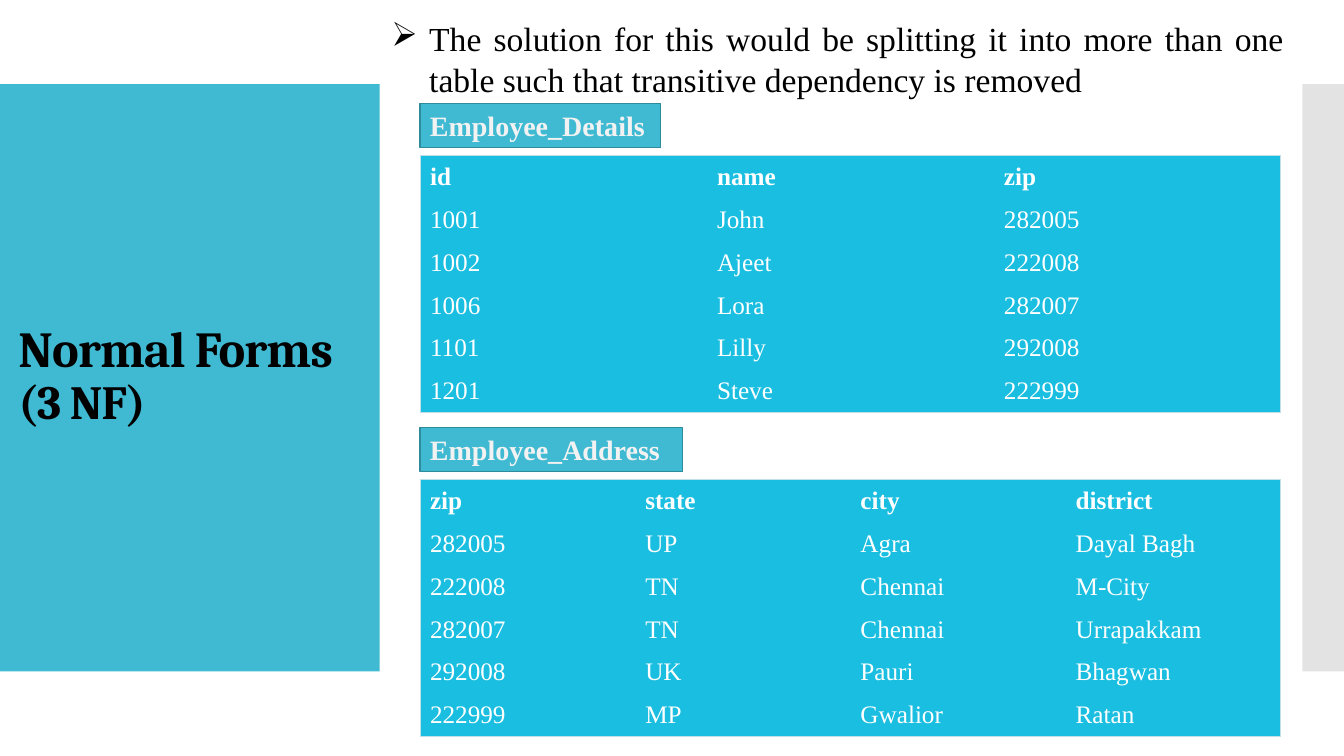
from dataclasses import dataclass

import pptx
import pptx.dml.color
import pptx.enum.shapes
import pptx.enum.text
import pptx.oxml
import pptx.oxml.ns
import pptx.util

Pt = pptx.util.Pt
PP_ALIGN = pptx.enum.text.PP_ALIGN
ANCHOR = pptx.enum.text.MSO_ANCHOR
AUTO_SIZE = pptx.enum.text.MSO_AUTO_SIZE
qn = pptx.oxml.ns.qn
NAMESPACE = pptx.oxml.ns.nsdecls("a")
NO_STYLE = "{2D5ABB26-0587-4C30-8999-92F81FD0307C}"


@dataclass(frozen=True)
class Theme:
    panel: str = "40BAD2"
    panel_edge: str = "2F8A9B"
    strip: str = "C8C8C8"
    table: str = "1ABEE0"
    table_edge: str = "C0E0EA"
    ink: str = "000000"
    label_ink: str = "F2F2F2"
    table_ink: str = "FFFFFF"
    heading_font: str = "Cambria"
    body_font: str = "Times New Roman"
    title_sizes: tuple = (36, 34)
    body_size: float = 24
    label_size: float = 20
    cell_size: float = 18


def rgb(value):
    return pptx.dml.color.RGBColor.from_string(value)


class SlideBuilder:
    def __init__(self, page, theme):
        self.page = page
        self.theme = theme

    def style(self, span, size, colour, bold=False, name=None):
        span.font.size = Pt(size)
        span.font.name = name or self.theme.body_font
        span.font.bold = bold
        span.font.color.rgb = rgb(colour)

    def rectangle(self, left, top, width, height, colour):
        box = self.page.shapes.add_shape(
            pptx.enum.shapes.MSO_SHAPE.RECTANGLE,
            Pt(left), Pt(top), Pt(width), Pt(height))
        box.shadow.inherit = False
        box.fill.solid()
        box.fill.fore_color.rgb = rgb(colour)
        return box

    def panel(self, left, top, width, height, colour, opacity=100):
        """Add a borderless background block behind the title."""
        box = self.rectangle(left, top, width, height, colour)
        box.line.fill.background()
        if opacity < 100:
            colour_node = box.element.spPr.find(qn("a:solidFill"))[0]
            colour_node.append(pptx.oxml.parse_xml(
                f'<a:alpha {NAMESPACE} val="{opacity * 1000}"/>'))
        self.page.shapes.title.element.addprevious(box.element)

    def title(self, left, top, width, height, lines):
        box = self.page.shapes.title
        box.left, box.top, box.width, box.height = map(Pt, (left, top, width, height))
        frame = box.text_frame
        frame.text = "\v".join(lines)
        frame.word_wrap = True
        frame.auto_size = AUTO_SIZE.NONE
        frame.vertical_anchor = ANCHOR.MIDDLE
        para = frame.paragraphs[0]
        para.alignment = PP_ALIGN.LEFT
        para.line_spacing = 0.9
        for span, size in zip(para.runs, self.theme.title_sizes):
            self.style(span, size, self.theme.ink, True, self.theme.heading_font)
            span.font.language_id = None
            span.font._element.set("spc", "-60")

    def bullet(self, left, top, width, height, text, indent=27):
        box = self.page.shapes.add_textbox(Pt(left), Pt(top), Pt(width), Pt(height))
        frame = box.text_frame
        frame.word_wrap = True
        frame.auto_size = AUTO_SIZE.SHAPE_TO_FIT_TEXT
        para = frame.paragraphs[0]
        para.text = text
        para.alignment = PP_ALIGN.JUSTIFY
        properties = para._p.get_or_add_pPr()
        properties.set("marL", str(Pt(indent)))
        properties.set("indent", str(-Pt(indent)))
        properties.append(pptx.oxml.parse_xml(f'<a:buChar {NAMESPACE} char="➢"/>'))
        self.style(para.runs[0], self.theme.body_size, self.theme.ink)

    def label(self, left, top, width, height, text):
        box = self.rectangle(left, top, width, height, self.theme.panel)
        box.line.color.rgb = rgb(self.theme.panel_edge)
        box.line.width = Pt(0.85)
        frame = box.text_frame
        frame.text = text
        frame.word_wrap = True
        frame.auto_size = AUTO_SIZE.SHAPE_TO_FIT_TEXT
        frame.vertical_anchor = ANCHOR.TOP
        para = frame.paragraphs[0]
        para.alignment = PP_ALIGN.LEFT
        self.style(para.runs[0], self.theme.label_size, self.theme.label_ink, True)

    def cell_edge(self, cell, side):
        cell._tc.get_or_add_tcPr().append(pptx.oxml.parse_xml(
            f'<a:ln{side} {NAMESPACE} w="{Pt(0.75)}"><a:solidFill>'
            f'<a:srgbClr val="{self.theme.table_edge}"/></a:solidFill></a:ln{side}>'))

    def table(self, left, top, width, row_height, rows):
        """Add a plain table with a header row and an outer border only."""
        row_count, column_count = len(rows), len(rows[0])
        frame = self.page.shapes.add_table(
            row_count, column_count, Pt(left), Pt(top), Pt(width),
            Pt(row_height * row_count))
        grid = frame.table
        grid.horz_banding = False
        grid._tbl.tblPr.find(qn("a:tableStyleId")).text = NO_STYLE
        for column in grid.columns:
            column.width = Pt(width / column_count)
        for row_index, values in enumerate(rows):
            grid.rows[row_index].height = Pt(row_height)
            for column_index, value in enumerate(values):
                cell = grid.cell(row_index, column_index)
                cell.text = value
                cell.vertical_anchor = ANCHOR.MIDDLE
                cell.margin_top = cell.margin_bottom = Pt(4.3)
                outer = {"L": column_index == 0,
                         "R": column_index == column_count - 1,
                         "T": row_index == 0,
                         "B": row_index == row_count - 1}
                for side, shown in outer.items():
                    if shown:
                        self.cell_edge(cell, side)
                cell.fill.solid()
                cell.fill.fore_color.rgb = rgb(self.theme.table)
                self.style(cell.text_frame.paragraphs[0].runs[0],
                           self.theme.cell_size, self.theme.table_ink, row_index == 0)


EMPLOYEE_DETAILS = [
    ("id", "name", "zip"),
    ("1001", "John", "282005"),
    ("1002", "Ajeet", "222008"),
    ("1006", "Lora", "282007"),
    ("1101", "Lilly", "292008"),
    ("1201", "Steve", "222999"),
]
EMPLOYEE_ADDRESS = [
    ("zip", "state", "city", "district"),
    ("282005", "UP", "Agra", "Dayal Bagh"),
    ("222008", "TN", "Chennai", "M-City"),
    ("282007", "TN", "Chennai", "Urrapakkam"),
    ("292008", "UK", "Pauri", "Bhagwan"),
    ("222999", "MP", "Gwalior", "Ratan"),
]


def main():
    deck = pptx.Presentation()
    deck.slide_width, deck.slide_height = Pt(960), Pt(540)
    theme = Theme()
    builder = SlideBuilder(deck.slides.add_slide(deck.slide_layouts[5]), theme)

    builder.panel(0, 60, 271.2, 419.5, theme.panel)
    builder.panel(930.3, 60, 29.7, 419.5, theme.strip, opacity=50)
    builder.title(6, 88.5, 259, 362, ("Normal Forms", "(3 NF)"))
    builder.bullet(272.5, 9.5, 651.5, 65.5,
                   "The solution for this would be splitting it into more than one "
                   "table such that transitive dependency is removed")

    sections = [
        ("Employee_Details", 74, 172, EMPLOYEE_DETAILS),
        ("Employee_Address", 305.4, 187.4, EMPLOYEE_ADDRESS),
    ]
    for name, top, label_width, rows in sections:
        builder.label(300, top, label_width, 31.5, name)
        builder.table(300, top + 37.2, 615, 30.6, rows)

    deck.save("out.pptx")


if __name__ == "__main__":
    main()
